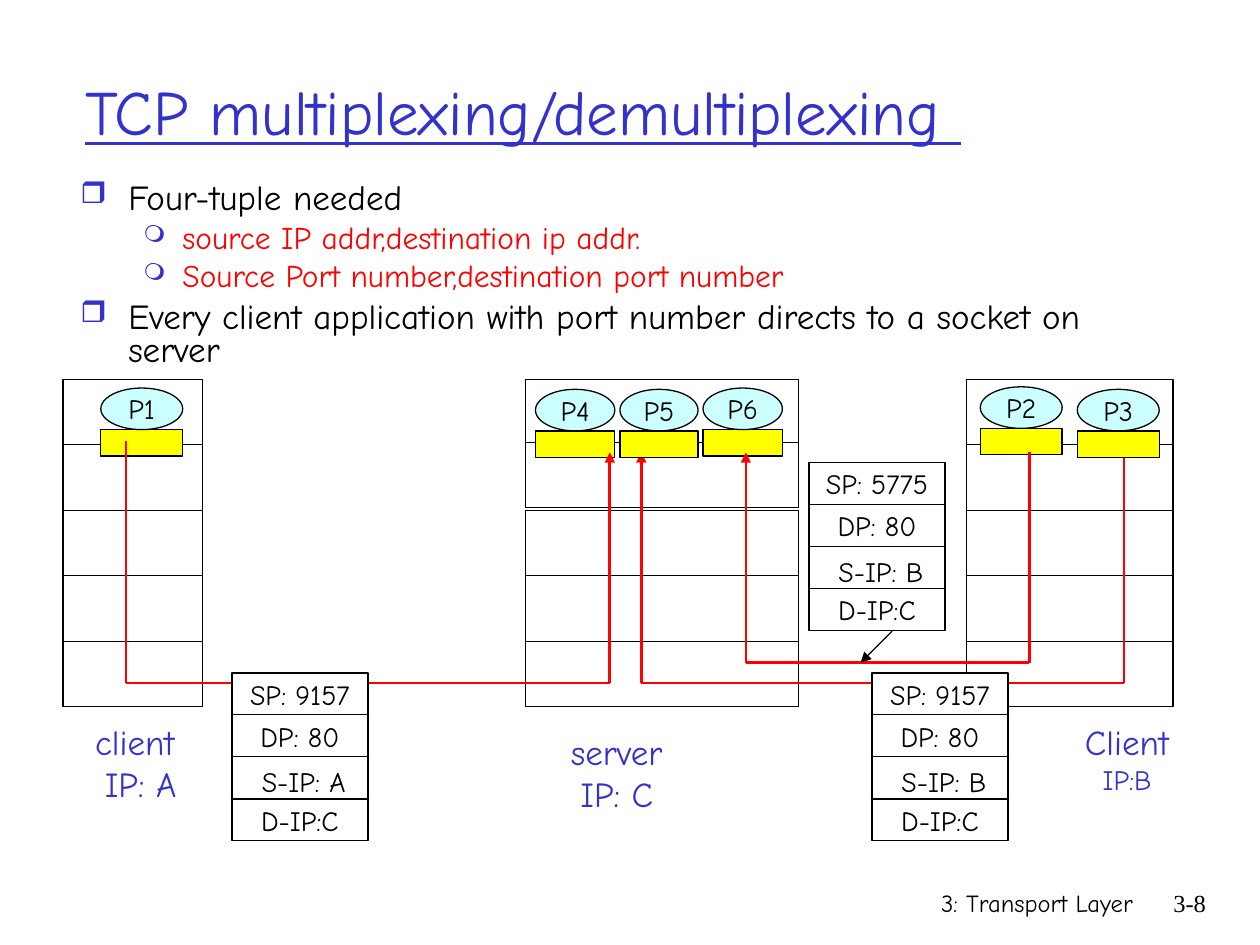
from itertools import pairwise

from lxml.etree import SubElement
from pptx import Presentation
from pptx.dml.color import RGBColor
from pptx.enum.shapes import MSO_CONNECTOR, MSO_SHAPE
from pptx.enum.text import MSO_ANCHOR as Anchor, PP_ALIGN as Align
from pptx.oxml.ns import qn
from pptx.util import Inches, Pt

COLORS = {"blue": "3333CC", "red": "FF0000", "black": "000000",
          "white": "FFFFFF", "yellow": "FFFF00", "cyan": "CCFFFF"}
HAND, SERIF = "Comic Neue", "Times New Roman"

TITLE = "TCP multiplexing/demultiplexing "
BULLETS = [  # level, text
    (0, "Four-tuple needed"),
    (1, "source IP addr,destination ip addr."),
    (1, "Source Port number,destination port number"),
    (0, "Every client application with port number directs to a socket on server"),
]
LEVELS = [  # one style per bullet level
    dict(mark="❒", mark_size=85, margin=0.38, hang=0.38, size=20, before=5, color="black"),
    dict(mark="❍", mark_size=75, margin=0.81, hang=0.31, size=18, before=4.5, color="red"),
]
FOOTERS = [("3: Transport Layer", (5.92, 7, 3.17, 0.5), HAND),
           ("3-8", (8.93, 7, 0.74, 0.5), SERIF)]

ROW_TOPS = [3.01, 3.53, 4.05, 4.57, 5.09]
HOSTS = [  # left, width, row tops
    (0.5, 1.11, ROW_TOPS),
    (7.67, 1.64, ROW_TOPS),
    (4.17, 2.17, [3.01, 3.51, *ROW_TOPS[2:]]),
]
HOST_LABELS = [  # box, lines with sizes
    ((0.64, 5.67, 0.86, 0.77), [("client", 20), (" IP: A", 20)]),
    ((4.43, 5.75, 0.93, 0.77), [("server", 20), ("IP: C", 20)]),
    ((8.51, 5.67, 0.87, 0.7), [("Client", 20), ("IP:B", 16)]),
]
# name, left, top, width
REAR_PROCESSES = [("P1", 0.8, 3.08, 0.65), ("P2", 7.78, 3.07, 0.65),
                  ("P4", 4.25, 3.09, 0.63)]
FRONT_PROCESSES = [("P5", 4.92, 3.09, 0.62), ("P6", 5.58, 3.08, 0.63),
                   ("P3", 8.55, 3.09, 0.65)]
REAR_FLOWS = [[(1, 3.5), (1, 5.42), (4.84, 5.42), (4.84, 3.59)],
              [(8.92, 3.51), (8.92, 5.42), (5.09, 5.42), (5.09, 3.59)]]
FRONT_FLOWS = [[(8.17, 3.59), (8.17, 5.26), (5.92, 5.26), (5.92, 3.59)]]
POINTER = [(7.08, 5.01), (6.83, 5.26)]

SEGMENTS = [  # left, top, header fields
    (1.84, 5.34, ["SP: 9157", "DP: 80", "S-IP: A", "D-IP:C"]),
    (6.92, 5.34, ["SP: 9157", "DP: 80", "S-IP: B", "D-IP:C"]),
    (6.42, 3.67, ["SP: 5775", "DP: 80", "S-IP: B", "D-IP:C"]),
]
FIELD_WIDTH, FIELD_STEP = 1.08, 1 / 3
SOURCE_IP_SHIFT = 0.03  # the S-IP field sits slightly right and low

deck = Presentation()
deck.slide_width, deck.slide_height = Inches(10), Inches(7.5)
page = deck.slides.add_slide(deck.slide_layouts[6])


def rgb(name):
    return RGBColor.from_string(COLORS[name])


def write(para, text, size, color="black", font=HAND):
    span = para.add_run()
    span.text = text
    span.font.name, span.font.size = font, Pt(size)
    span.font.color.rgb = rgb(color)
    return span


def add_text_box(place, wrap=True, anchor=Anchor.TOP):
    frame = page.shapes.add_textbox(*map(Inches, place)).text_frame
    frame.word_wrap, frame.vertical_anchor = wrap, anchor
    return frame


def add_block(kind, place, fill, text=None, shift=0):
    """Draw an outlined shape; shift moves its text right and down."""
    block = page.shapes.add_shape(kind, *map(Inches, place))
    block.shadow.inherit = False
    block.fill.solid()
    block.fill.fore_color.rgb = rgb(fill)
    block.line.color.rgb, block.line.width = rgb("black"), Pt(0.75)
    if text:
        frame = block.text_frame
        frame.word_wrap, frame.vertical_anchor = False, Anchor.MIDDLE
        frame.margin_left = Inches(0.1 + 2 * shift)
        frame.margin_top = Inches(0.05 + 2 * shift)
        para = frame.paragraphs[0]
        para.alignment = Align.CENTER
        write(para, text, 16)


def add_route(points, color, width):
    """Join the points with straight lines, with an arrowhead at the last."""
    for start, end in pairwise(points):
        line = page.shapes.add_connector(MSO_CONNECTOR.STRAIGHT, *map(Inches, start + end))
        line.line.color.rgb, line.line.width = rgb(color), Pt(width)
        if end == points[-1]:
            SubElement(line.line._get_or_add_ln(), qn("a:tailEnd"), type="triangle")
        SubElement(line._element.spPr, qn("a:effectLst"))


def add_bullet(para, style):
    props = para._p.get_or_add_pPr()
    props.set("marL", str(Inches(style["margin"])))
    props.set("indent", str(-Inches(style["hang"])))
    mark_color = SubElement(props, qn("a:buClr"))
    SubElement(mark_color, qn("a:srgbClr"), val=COLORS["blue"])
    SubElement(props, qn("a:buSzPct"), val=str(style["mark_size"] * 1000))
    SubElement(props, qn("a:buChar"), char=style["mark"])


def add_processes(processes):
    for name, left, top, width in processes:
        add_block(MSO_SHAPE.RECTANGLE, (left, top + 0.33, width, 0.21), "yellow")
        add_block(MSO_SHAPE.OVAL, (left, top, width, 0.33), "cyan", name)


for text, place, font in FOOTERS:
    para = add_text_box(place).paragraphs[0]
    para.alignment = Align.RIGHT
    write(para, text, 14, font=font)

title = add_text_box((0.58, 0.25, 8.5, 1.25), anchor=Anchor.MIDDLE)
write(title.paragraphs[0], TITLE, 36, "blue").font.underline = True

body = add_text_box((0.54, 1.41, 8.5, 1.64))
for index, (level, text) in enumerate(BULLETS):
    style = LEVELS[level]
    para = body.add_paragraph() if index else body.paragraphs[0]
    para.level, para.line_spacing = level, 0.8
    para.space_before = Pt(style["before"] if index else 0)
    add_bullet(para, style)
    write(para, text, style["size"], style["color"])

for left, width, tops in HOSTS:
    for top in tops:
        add_block(MSO_SHAPE.RECTANGLE, (left, top, width, 0.52), "white")

for place, lines in HOST_LABELS:
    label = add_text_box(place, wrap=False)
    for index, (text, size) in enumerate(lines):
        para = label.add_paragraph() if index else label.paragraphs[0]
        para.alignment = Align.CENTER
        write(para, text, size, "blue")

for processes, flows in [(REAR_PROCESSES, REAR_FLOWS), (FRONT_PROCESSES, FRONT_FLOWS)]:
    add_processes(processes)
    for flow in flows:
        add_route(flow, "red", 1.5)

for left, top, fields in SEGMENTS:
    for row, field in enumerate(fields):
        place = (left, top + row * FIELD_STEP, FIELD_WIDTH, FIELD_STEP)
        shift = SOURCE_IP_SHIFT if field.startswith("S-IP") else 0
        add_block(MSO_SHAPE.RECTANGLE, place, "white", field, shift)

add_route(POINTER, "black", 0.75)

deck.save("out.pptx")
